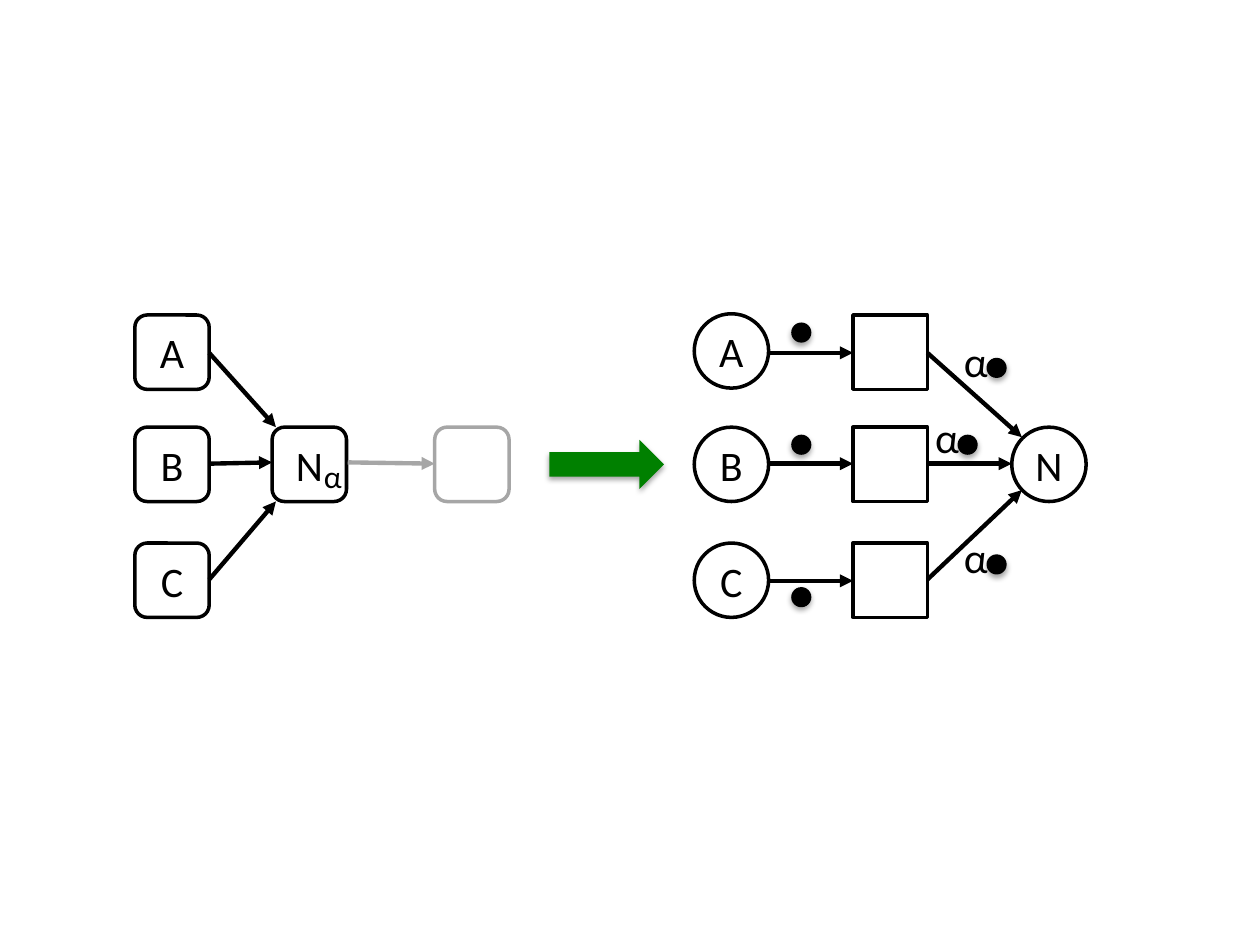
from lxml.etree import SubElement
from pptx import Presentation
from pptx.dml.color import RGBColor
from pptx.enum.shapes import MSO_CONNECTOR, MSO_SHAPE
from pptx.enum.text import MSO_ANCHOR, MSO_AUTO_SIZE, PP_ALIGN
from pptx.oxml import parse_xml
from pptx.oxml.ns import nsdecls, qn
from pptx.util import Inches, Pt

BLACK = RGBColor(0x00, 0x00, 0x00)
WHITE = RGBColor(0xFF, 0xFF, 0xFF)
GRAY = RGBColor(0xA6, 0xA6, 0xA6)
GREEN = RGBColor(0x00, 0x80, 0x00)

NODE = 0.59
TOKEN = 0.16
ROW_TOPS = {"A": 2.5, "B": 3.39, "C": 4.31}
MIDDLE_TOP = ROW_TOPS["B"]
MIDDLE = 3.68
SOURCE_LEFT, TARGET_LEFT, NEXT_LEFT = 1.07, 2.16, 3.45
PLACE_LEFT, TRANSITION_LEFT, RESULT_LEFT = 5.51, 6.77, 8.03
SHADOW = (
    f'<a:effectLst {nsdecls("a")}>'
    '<a:outerShdw blurRad="39400" dist="22900" dir="5400000" rotWithShape="0">'
    '<a:srgbClr val="000000"><a:alpha val="35000"/></a:srgbClr>'
    '</a:outerShdw></a:effectLst>'
)


def add_node(kind, left, top, label="", color=BLACK):
    """Add an outlined white node with an optional centred letter."""
    node = slide.shapes.add_shape(kind, Inches(left), Inches(top), Inches(NODE), Inches(NODE))
    node.shadow.inherit = False
    node.fill.solid()
    node.fill.fore_color.rgb = WHITE
    node.line.color.rgb = color
    node.line.width = Pt(2)
    if label:
        frame = node.text_frame
        frame.margin_left = frame.margin_right = frame.margin_top = frame.margin_bottom = 0
        frame.vertical_anchor = MSO_ANCHOR.MIDDLE
        paragraph = frame.paragraphs[0]
        paragraph.text = label
        paragraph.alignment = PP_ALIGN.CENTER
        paragraph.font.name = "Calibri"
        paragraph.font.size = Pt(24)
        paragraph.font.color.rgb = BLACK


def add_arrow(start_x, start_y, end_x, end_y, color=BLACK):
    """Add a straight line with a triangular head at its end."""
    arrow = slide.shapes.add_connector(
        MSO_CONNECTOR.STRAIGHT, Inches(start_x), Inches(start_y), Inches(end_x), Inches(end_y))
    arrow.line.color.rgb = color
    arrow.line.width = Pt(2.5)
    SubElement(arrow.line._get_or_add_ln(), qn("a:tailEnd"), type="triangle")
    SubElement(arrow._element.spPr, qn("a:effectLst"))


presentation = Presentation()
presentation.slide_width = Inches(10)
presentation.slide_height = Inches(7.5)
slide = presentation.slides.add_slide(presentation.slide_layouts[6])

# Rows: source node on the left, place and transition on the right
for letter, top in ROW_TOPS.items():
    center = MIDDLE if letter == "B" else top + 0.3
    circle_top = top - 0.01 if letter == "A" else top
    add_node(MSO_SHAPE.ROUNDED_RECTANGLE, SOURCE_LEFT, top, letter)
    add_node(MSO_SHAPE.OVAL, PLACE_LEFT, circle_top, letter)
    add_node(MSO_SHAPE.RECTANGLE, TRANSITION_LEFT, top)
    add_arrow(PLACE_LEFT + NODE, center, TRANSITION_LEFT, center)

# Nodes that the rows lead to
add_node(MSO_SHAPE.ROUNDED_RECTANGLE, TARGET_LEFT, MIDDLE_TOP, "N")
add_node(MSO_SHAPE.ROUNDED_RECTANGLE, NEXT_LEFT, MIDDLE_TOP, color=GRAY)
add_node(MSO_SHAPE.OVAL, RESULT_LEFT, MIDDLE_TOP, "N")

# Arrows from the rows into those nodes
source_right = SOURCE_LEFT + NODE
add_arrow(source_right, 2.8, 2.19, 3.39)
add_arrow(source_right, MIDDLE, TARGET_LEFT, 3.67)
add_arrow(source_right, 4.6, 2.19, 3.98)
add_arrow(2.76, 3.67, NEXT_LEFT, MIDDLE, GRAY)
transition_right = TRANSITION_LEFT + NODE
add_arrow(transition_right, 2.8, 8.11, 3.47)
add_arrow(transition_right, MIDDLE, RESULT_LEFT, MIDDLE)
add_arrow(transition_right, 4.6, 8.11, 3.89)

# Shadowed shapes: the step arrow, plain tokens and weighted tokens
groups = [slide.shapes.add_group_shape() for _ in range(3)]
weighted_tokens = list(zip(groups, [(7.83, 2.84), (7.6, 3.45), (7.83, 4.4)]))
tokens = [(slide, (6.28, top)) for top in (2.56, 3.45, 4.66)] + weighted_tokens
shadowed = [(slide, MSO_SHAPE.RIGHT_ARROW, (4.36, 3.49, 0.91, 0.39), GREEN)]
shadowed += [(owner, MSO_SHAPE.OVAL, (*corner, TOKEN, TOKEN), BLACK) for owner, corner in tokens]
for owner, kind, box, color in shadowed:
    shape = owner.shapes.add_shape(kind, *[Inches(length) for length in box])
    shape.fill.solid()
    shape.fill.fore_color.rgb = color
    shape.line.fill.background()
    shape._element.spPr.append(parse_xml(SHADOW))

# Alpha labels: the subscript of N and the token weights
alphas = [(slide, 2.57, 3.63, 0.14, 0.3, 18)]
alphas += [(group, left - 0.18, top - 0.18, 0.19, 0.4, 24) for group, (left, top) in weighted_tokens]
for owner, left, top, width, height, size in alphas:
    label = owner.shapes.add_textbox(Inches(left), Inches(top), Inches(width), Inches(height))
    frame = label.text_frame
    frame.margin_left = frame.margin_right = frame.margin_top = frame.margin_bottom = 0
    frame.word_wrap = False
    frame.auto_size = MSO_AUTO_SIZE.SHAPE_TO_FIT_TEXT
    paragraph = frame.paragraphs[0]
    paragraph.text = "α"
    paragraph.alignment = PP_ALIGN.CENTER
    paragraph.font.name = "Calibri"
    paragraph.font.size = Pt(size)
    paragraph.font.color.rgb = BLACK

presentation.save("out.pptx")
